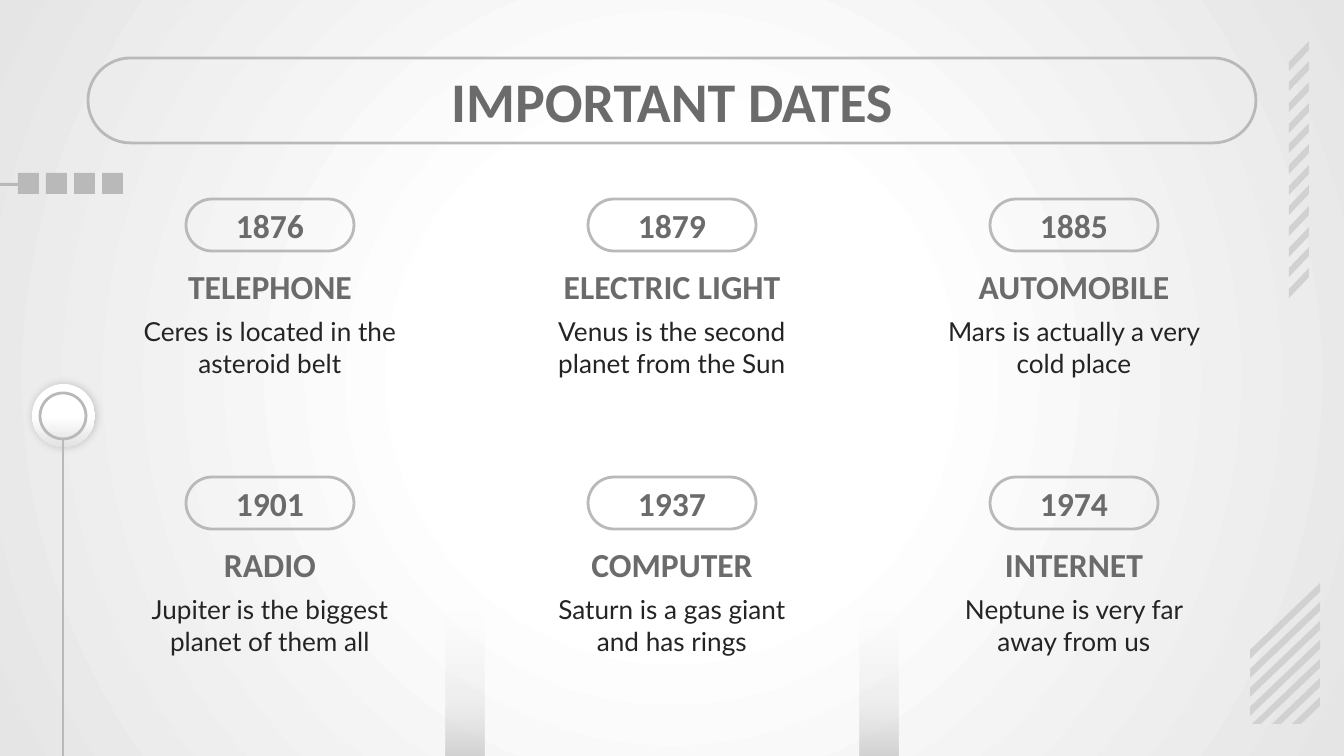
from lxml import etree
from pptx import Presentation
from pptx import util as u
from pptx.dml.color import RGBColor
from pptx.enum import shapes, text
from pptx.oxml.ns import qn

WHITE = RGBColor(0xFF, 0xFF, 0xFF)
PALE = RGBColor(0xE5, 0xE5, 0xE5)
RIM = RGBColor(0xE2, 0xE2, 0xE2)
MIST = RGBColor(0xDC, 0xDC, 0xDC)
BAND = RGBColor(0xD1, 0xD1, 0xD1)
GREY = RGBColor(0xB9, 0xB9, 0xB9)
HEAD = RGBColor(0x6B, 0x6B, 0x6B)
INK = RGBColor(0x24, 0x24, 0x24)
BLACK = RGBColor(0, 0, 0)

TITLE = "IMPORTANT DATES"
DATES = [
    ("1876", "TELEPHONE", "Ceres is located in the asteroid belt"),
    ("1879", "ELECTRIC LIGHT", "Venus is the second planet from the Sun"),
    ("1885", "AUTOMOBILE", "Mars is actually a very cold place"),
    ("1901", "RADIO", "Jupiter is the biggest planet of them all"),
    ("1937", "COMPUTER", "Saturn is a gas giant and has rings"),
    ("1974", "INTERNET", "Neptune is very far away from us"),
]
GLOW = [(0, WHITE, 100), (32, WHITE, 100), (100, PALE, 100)]
FADE = [(0, GREY, 100), (43, MIST, 42), (100, WHITE, 0)]
KNOB = [(0, WHITE, 100), (50, WHITE, 100), (100, RIM, 100)]

WIDE, HIGH = 1344, 756
MID = WIDE // 2
PX = 914400 / 134.4
KIND = shapes.MSO_SHAPE


def px(*vals):
    return [u.Emu(round(v * PX)) for v in vals]


def add(up, tag, **atts):
    return etree.SubElement(up, qn("a:" + tag), atts)


def tint(up, color, alpha):
    node = add(up, "srgbClr", val=str(color))
    if alpha < 100:
        add(node, "alpha", val=str(alpha * 1000))


def blend(host, stops, angle=None):
    grad = host.find(".//" + qn("a:gradFill"))
    grad.clear()
    grad.set("rotWithShape", "1")
    row = add(grad, "gsLst")
    for pos, color, alpha in stops:
        tint(add(row, "gs", pos=str(pos * 1000)), color, alpha)
    if angle is None:
        ring = add(grad, "path", path="circle")
        add(ring, "fillToRect", l="50000", t="50000", r="50000", b="50000")
    else:
        add(grad, "lin", ang=str(angle * 60000), scaled="0")


def paint(item, fill=None, line=None):
    item.shadow.inherit = False
    if fill is None:
        item.fill.background()
    else:
        item.fill.solid()
        item.fill.fore_color.rgb = fill
    if line is None:
        item.line.fill.background()
    else:
        item.line.color.rgb = line
        item.line.width = u.Pt(1.5)
    return item


def shape(kind, box, fill=None, line=None):
    return paint(slide.shapes.add_shape(kind, *px(*box)), fill, line)


def pill(mid, top, wide, high):
    item = shape(KIND.ROUNDED_RECTANGLE, (mid - wide // 2, top, wide, high), line=GREY)
    item.adjustments[0] = 0.5


def label(words, mid, top, wide, high, size, font="Calibri", color=HEAD, bold=True):
    box = slide.shapes.add_textbox(*px(mid - wide / 2, top, wide, high))
    frame = box.text_frame
    frame.word_wrap = True
    frame.vertical_anchor = text.MSO_ANCHOR.MIDDLE
    frame.margin_left = frame.margin_right = u.Inches(0.1)
    frame.margin_top = frame.margin_bottom = u.Inches(0.1)
    frame.text = words
    para = frame.paragraphs[0]
    para.alignment = text.PP_ALIGN.CENTER
    face = para.runs[0].font
    face.name, face.size, face.bold = font, u.Pt(size), bold
    face.color.rgb = color


def stripe(right, top, thick, wide, drop, floor):
    def foot(y):
        fall = min(drop, floor - y)
        return round(right - fall * wide / drop), y + fall

    low = top + thick
    path = slide.shapes.build_freeform(right, top, scale=PX)
    path.add_line_segments([(right, low), foot(low), foot(top)])
    paint(path.convert_to_shape(), BAND)


deck = Presentation()
deck.slide_width, deck.slide_height = px(WIDE, HIGH)
slide = deck.slides.add_slide(deck.slide_layouts[6])
slide.background.fill.gradient()
blend(slide.element, GLOW)

shape(KIND.RECTANGLE, (-51, 183, 76, 3), GREY)
for i in range(4):
    shape(KIND.RECTANGLE, (18 + 28 * i, 173, 21, 21), GREY)

for left in (367, 781):
    beam = shape(KIND.PARALLELOGRAM, (left, 672, 196, 39))
    beam.rotation = 270
    beam.fill.gradient()
    blend(beam.element, FADE, 0)

pill(MID, 58, 1168, 85)
label(TITLE, MID, 58, 1133, 85, 30)
for i, (year, name, note) in enumerate(DATES):
    row, col = divmod(i, 3)
    mid, top = MID + 402 * (col - 1), 199 + 278 * row
    pill(mid, top, 168, 52)
    label(year, mid, top, 129, 52, 18)
    label(name, mid, top + 48, 366, 78, 18)
    label(note, mid, top + 99, 292, 98, 14, "Lato", INK, False)

for i in range(12):
    stripe(1309, 41 + i * 62 // 3, 9, 20, 21, 298)

knob = shape(KIND.OVAL, (32, 384, 63, 63))
knob.fill.gradient()
blend(knob.element, KNOB, 90)
glow = knob.element.spPr.find(qn("a:effectLst"))
cast = add(glow, "outerShdw", blurRad="57150", dist="9525", dir="0",
           algn="bl", rotWithShape="0")
tint(cast, BLACK, 19)
shape(KIND.OVAL, (40, 393, 46, 46), line=GREY)
stem = slide.shapes.add_connector(shapes.MSO_CONNECTOR.STRAIGHT, *px(63, 439, 63, HIGH))
stem.line.color.rgb = GREY
stem.line.width = u.Pt(1.5)
add(stem.element.spPr, "effectLst")

for i in range(7):
    stripe(1320, 583 + 19 * i, 9, 70, 67, 724)

deck.save("out.pptx")
